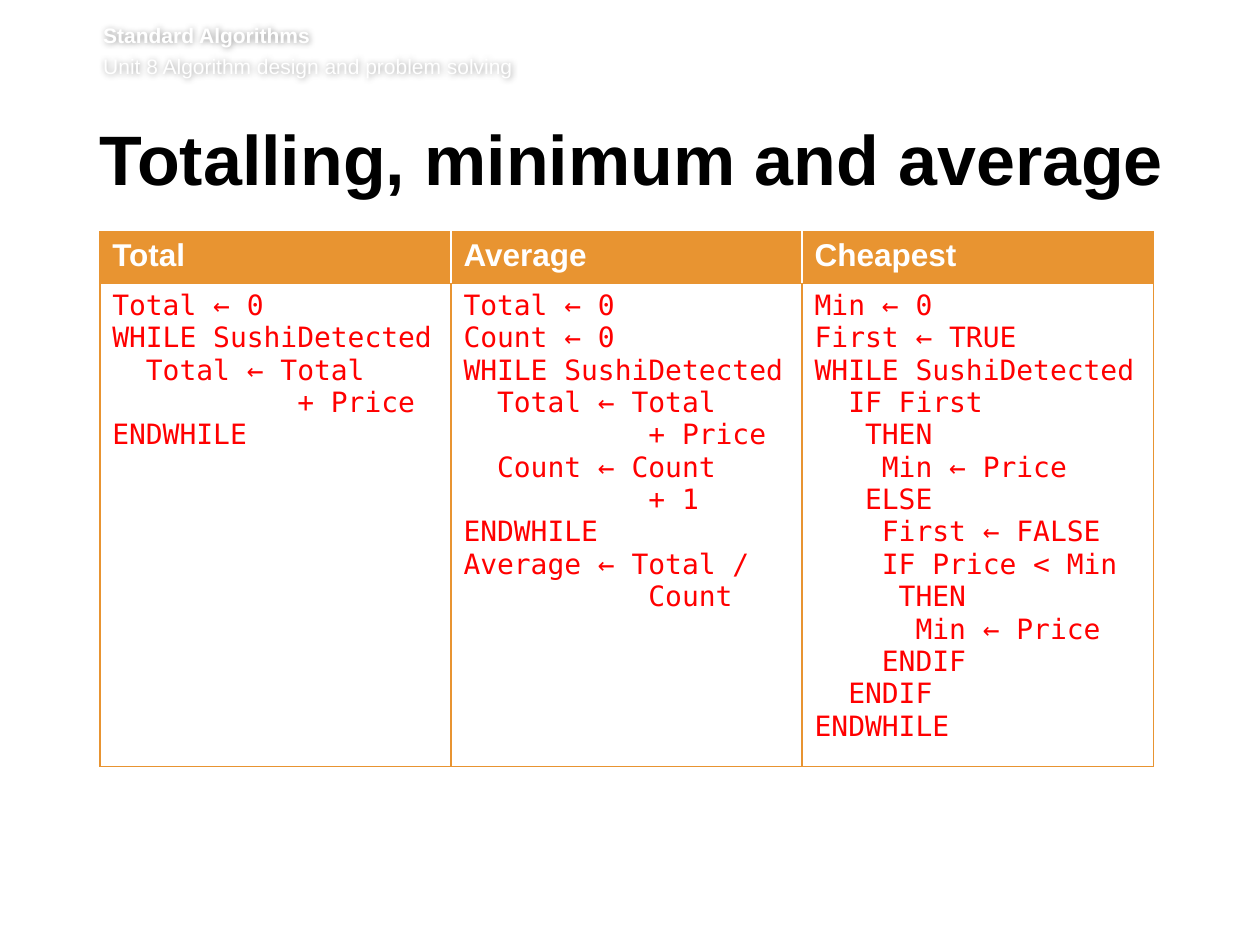
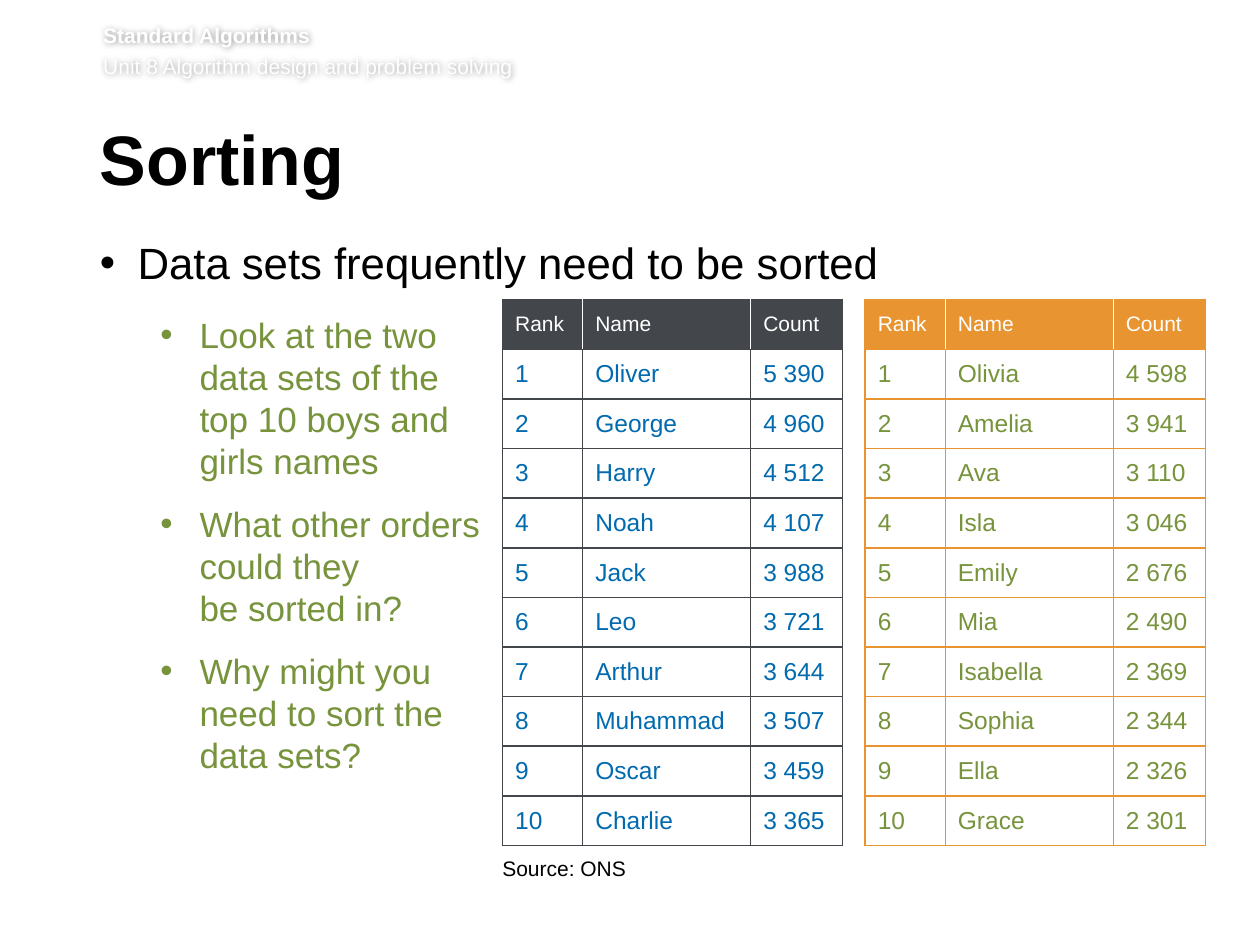
from lxml import etree
from pptx import Presentation
from pptx.dml.color import RGBColor
from pptx.enum.text import MSO_ANCHOR
from pptx.oxml.ns import qn
from pptx.util import Pt

WHITE = RGBColor(0xFF, 0xFF, 0xFF)
BLACK = RGBColor(0, 0, 0)
ORANGE = RGBColor(0xE8, 0x94, 0x31)
CHARCOAL = RGBColor(0x43, 0x47, 0x4C)
RED = RGBColor(0xFF, 0, 0)
BLUE = RGBColor(0x02, 0x6A, 0xAE)
GREEN = RGBColor(0x77, 0x93, 0x3C)

TEXT_FONT = "Arial"
CODE_FONT = "DejaVu Sans Mono"
LEFT = 57
CODE_HEADER_HEIGHT = 29.5

TOTAL_CODE = """Total ← 0
WHILE SushiDetected
  Total ← Total\v           + Price
ENDWHILE"""

AVERAGE_CODE = """Total ← 0
Count ← 0
WHILE SushiDetected
  Total ← Total\v           + Price
  Count ← Count
           + 1
ENDWHILE
Average ← Total /\v           Count"""

CHEAPEST_CODE = """Min ← 0
First ← TRUE
WHILE SushiDetected
  IF First
   THEN
    Min ← Price
   ELSE
    First ← FALSE
    IF Price < Min
     THEN
      Min ← Price
    ENDIF
  ENDIF
ENDWHILE"""

BOYS = [("Oliver", "5 390"), ("George", "4 960"), ("Harry", "4 512"),
        ("Noah", "4 107"), ("Jack", "3 988"), ("Leo", "3 721"),
        ("Arthur", "3 644"), ("Muhammad", "3 507"), ("Oscar", "3 459"),
        ("Charlie", "3 365")]
GIRLS = [("Olivia", "4 598"), ("Amelia", "3 941"), ("Ava", "3 110"),
         ("Isla", "3 046"), ("Emily", "2 676"), ("Mia", "2 490"),
         ("Isabella", "2 369"), ("Sophia", "2 344"), ("Ella", "2 326"),
         ("Grace", "2 301")]
QUESTIONS = ["Look at the two\vdata sets of the\vtop 10 boys and\vgirls names",
             "What other orders\vcould they\vbe sorted in?",
             "Why might you\vneed to sort the\vdata sets?"]


def style_font(paragraph, size, color, bold=False, name=TEXT_FONT):
    font = paragraph.font
    font.name, font.size, font.bold = name, Pt(size), bold
    font.color.rgb = color


def add_text_box(slide, box, text, margins):
    """Add a wrapping text box; margins are left, top, right, bottom."""
    shape = slide.shapes.add_textbox(*map(Pt, box))
    frame = shape.text_frame
    frame.word_wrap = True
    (frame.margin_left, frame.margin_top,
     frame.margin_right, frame.margin_bottom) = map(Pt, margins)
    frame.text = text
    return shape


def add_soft_shadow(shape):
    effects = etree.SubElement(shape._element.spPr, qn("a:effectLst"))
    shadow = etree.SubElement(effects, qn("a:outerShdw"),
                              blurRad=str(Pt(4)), dist="0", algn="ctr", rotWithShape="0")
    color = etree.SubElement(shadow, qn("a:srgbClr"), val=str(BLACK))
    etree.SubElement(color, qn("a:alpha"), val="40000")


def add_unit_header(slide, box):
    shape = add_text_box(slide, box,
                         "Standard Algorithms\nUnit 8 Algorithm design and problem solving",
                         (0, 0, 0, 3.6))
    topic, unit = shape.text_frame.paragraphs
    style_font(topic, 12, WHITE, bold=True)
    style_font(unit, 12, WHITE)
    unit.space_before = Pt(2.9)
    add_soft_shadow(shape)


def add_title(slide, box, text):
    shape = add_text_box(slide, box, text, (0, 3.6, 7.2, 3.6))
    paragraph = shape.text_frame.paragraphs[0]
    paragraph.line_spacing = Pt(39)
    style_font(paragraph, 40, BLACK, bold=True)


def add_bullet(paragraph, indent, hanging):
    properties = paragraph._p.get_or_add_pPr()
    properties.set("marL", str(Pt(indent)))
    properties.set("indent", str(-Pt(hanging)))
    etree.SubElement(properties, qn("a:buFont"), typeface=TEXT_FONT)
    etree.SubElement(properties, qn("a:buChar"), char="•")


def add_bullet_list(slide, box, statement, questions):
    shape = add_text_box(slide, box, "\n".join([statement, *questions]), (0, 0, 7.2, 3.6))
    for index, paragraph in enumerate(shape.text_frame.paragraphs):
        is_question = index > 0
        add_bullet(paragraph, *((57, 22.3) if is_question else (21.6, 21.6)))
        paragraph.level = int(is_question)
        paragraph.line_spacing = Pt(24 if is_question else 31)
        paragraph.space_after = Pt(12 if is_question else 14)
        style_font(paragraph, *((20, GREEN) if is_question else (25, BLACK)))


def set_borders(cell, colors):
    """Draw 1 pt borders in the order left, right, top, bottom."""
    properties = cell._tc.get_or_add_tcPr()
    for position, (side, color) in enumerate(zip("LRTB", colors)):
        line = etree.Element(qn(f"a:ln{side}"), w=str(Pt(1)))
        fill = etree.SubElement(line, qn("a:solidFill"))
        etree.SubElement(fill, qn("a:srgbClr"), val=str(color))
        properties.insert(position, line)


def add_ruled_table(slide, box, rows, widths, heights, color, header_style, body_style,
                    anchor=MSO_ANCHOR.TOP):
    """Add a table with a filled header row and ruled, unfilled body rows."""
    frame = slide.shapes.add_table(len(rows), len(widths), *map(Pt, box))
    table = frame.table
    table.first_row = table.horz_banding = False
    for column, width in zip(table.columns, widths):
        column.width = Pt(width)
    for row, height in zip(table.rows, heights):
        row.height = Pt(height)
    last = len(widths) - 1
    for row_index, texts in enumerate(rows):
        is_header = row_index == 0
        divider = WHITE if is_header else color
        for column_index, text in enumerate(texts):
            cell = table.cell(row_index, column_index)
            cell.text = text
            cell.vertical_anchor = anchor
            if is_header:
                cell.fill.solid()
                cell.fill.fore_color.rgb = color
            else:
                cell.fill.background()
            set_borders(cell, (color if column_index == 0 else divider,
                               color if column_index == last else divider,
                               color, color))
            for paragraph in cell.text_frame.paragraphs:
                style_font(paragraph, **(header_style if is_header else body_style))


def add_code_table(slide, box):
    width, height = box[2:]
    add_ruled_table(slide, box,
                    [("Total", "Average", "Cheapest"),
                     (TOTAL_CODE, AVERAGE_CODE, CHEAPEST_CODE)],
                    [width / 3] * 3,
                    [CODE_HEADER_HEIGHT, height - CODE_HEADER_HEIGHT], ORANGE,
                    dict(size=18, color=WHITE, bold=True),
                    dict(size=16, color=RED, name=CODE_FONT))


def add_name_table(slide, box, names, rule_color, text_color):
    rows = [("Rank", "Name", "Count")]
    rows += [(str(rank), *entry) for rank, entry in enumerate(names, 1)]
    rank_width, name_width = 45.8, 96
    add_ruled_table(slide, box, rows,
                    [rank_width, name_width, box[2] - rank_width - name_width],
                    [box[3] / len(rows)] * len(rows), rule_color,
                    dict(size=12, color=WHITE), dict(size=14, color=text_color),
                    MSO_ANCHOR.MIDDLE)


def add_source_note(slide, box):
    shape = add_text_box(slide, box, "Source: ONS", (7.2, 3.6, 7.2, 3.6))
    style_font(shape.text_frame.paragraphs[0], 12, BLACK)


def add_titled_slide(presentation, title):
    slide = presentation.slides.add_slide(presentation.slide_layouts[6])
    add_unit_header(slide, (59, 13, 635, 35.3))
    add_title(slide, (LEFT, 71.3, 615.6, 52.6), title)
    return slide


def build_algorithms_slide(presentation):
    slide = add_titled_slide(presentation, "Totalling, minimum and average")
    add_code_table(slide, (LEFT, 132.5, 602, 295.2))


def build_sorting_slide(presentation):
    slide = add_titled_slide(presentation, "Sorting")
    add_bullet_list(slide, (LEFT, 134, 614, 272),
                    "Data sets frequently need to be sorted", QUESTIONS)
    data_sets = [(BOYS, CHARCOAL, BLUE), (GIRLS, ORANGE, GREEN)]
    for index, data_set in enumerate(data_sets):
        add_name_table(slide, (287.2 + 207.2 * index, 171.3, 194.4, 312), *data_set)
    add_source_note(slide, (280, 485.3, 169, 21.6))


def main():
    presentation = Presentation()
    presentation.slide_width, presentation.slide_height = Pt(720), Pt(540)
    build_algorithms_slide(presentation)
    build_sorting_slide(presentation)
    presentation.save("out.pptx")


if __name__ == "__main__":
    main()
